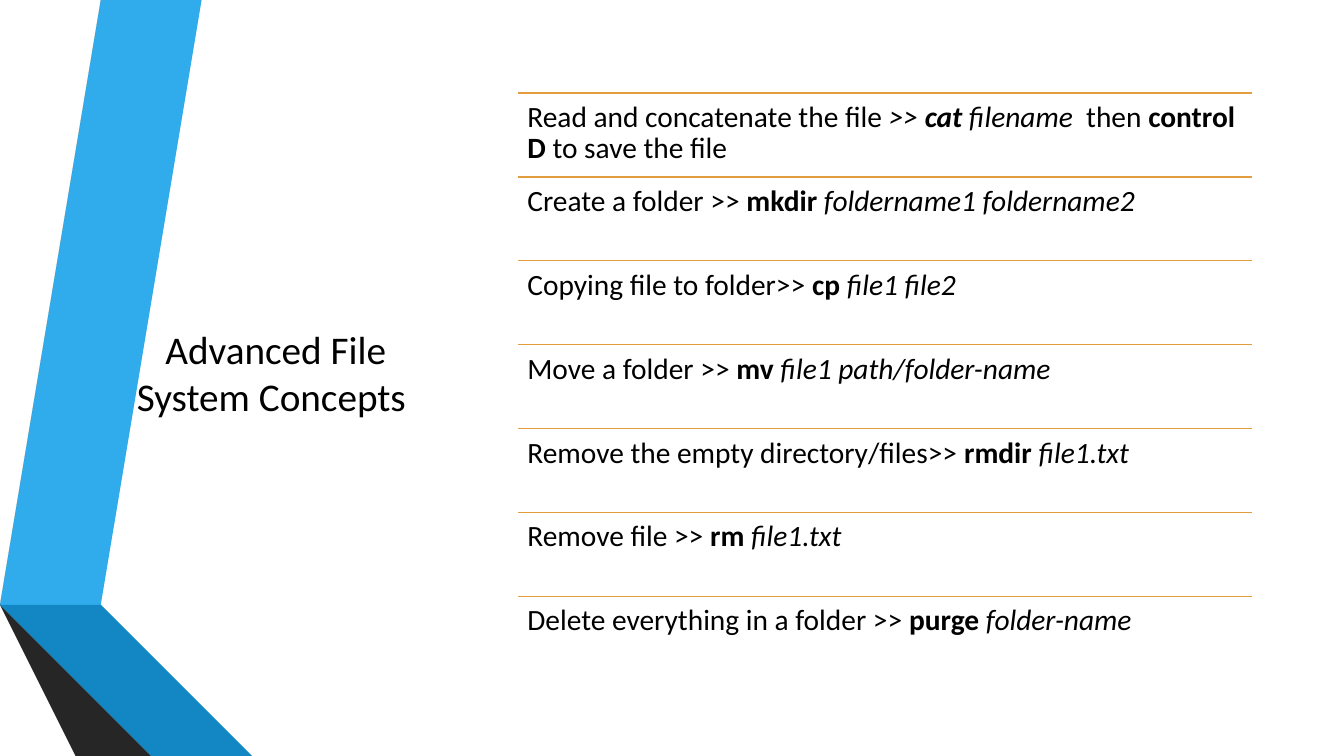
from pptx import Presentation
from pptx.dml.color import RGBColor
from pptx.enum.shapes import MSO_CONNECTOR
from pptx.enum.text import MSO_ANCHOR, MSO_AUTO_SIZE, PP_ALIGN
from pptx.oxml.ns import qn
from pptx.util import Inches, Pt
from lxml.etree import SubElement

BLACK = RGBColor(0x00, 0x00, 0x00)
RULE_ORANGE = RGBColor(0xE2, 0x9D, 0x3E)
BLUE = RGBColor(0x30, 0xAC, 0xEC)
MID_BLUE = RGBColor(0x12, 0x87, 0xC3)
DARK_BLUE = RGBColor(0x0C, 0x5A, 0x82)
GRAY = RGBColor(0x59, 0x59, 0x59)
DARK_GRAY = RGBColor(0x40, 0x40, 0x40)
DEEP_GRAY = RGBColor(0x26, 0x26, 0x26)
FONT = "Calibri"

# Content: each command row is a list of (text, style), b = bold, i = italic
TITLE = "Advanced File System Concepts "
COMMANDS = [
    [("Read and concatenate the file", ""), (" >> ", "i"), ("cat", "bi"),
     (" filename  ", "i"), ("then ", ""), ("control D", "b"),
     (" to save the file", "")],
    [("Create a folder >> ", ""), ("mkdir ", "b"),
     ("foldername1 foldername2", "i")],
    [("Copying file to folder>> ", ""), ("cp ", "b"), ("file1 file2", "i")],
    [("Move a folder >> ", ""), ("mv ", "b"), ("file1 path/folder-name", "i")],
    [("Remove the empty directory/files>> ", ""), ("rmdir ", "b"),
     ("file1.txt", "i")],
    [("Remove file >> ", ""), ("rm ", "b"), ("file1.txt", "i")],
    [("Delete everything in a folder >> ", ""), ("purge ", "b"),
     ("folder-name", "i")],
]

# Folded ribbons: colour and corner points in inches, back to front
RIBBONS = [
    (BLUE, [(0.5, 5.78), (0.77, 5.83), (1.73, 0), (1.45, 0)]),
    (GRAY, [(1.39, 0), (1.11, 0), (0.16, 5.73), (0.44, 5.77)]),
    (DEEP_GRAY, [(0.16, 5.73), (1.45, 7.5), (1.51, 7.5)]),
    (DARK_BLUE, [(0.5, 5.79), (2.08, 7.5), (2.14, 7.5)]),
    (MID_BLUE, [(0.5, 5.79), (2.14, 7.5), (2.83, 7.5), (0.77, 5.83),
                (0.5, 5.78)]),
    (DARK_GRAY, [(2.02, 7.5), (0.48, 5.83), (0.43, 5.78), (0.44, 5.77),
                 (0.16, 5.73), (1.51, 7.5)]),
]

# Command list geometry in inches
LIST_LEFT, LIST_TOP, LIST_WIDTH, LIST_HEIGHT = 5.14, 0.92, 7.28, 5.83
ROW_HEIGHT = LIST_HEIGHT / len(COMMANDS)
INSET = Inches(0.09)


def add_ribbon(slide, color, points):
    builder = slide.shapes.build_freeform(*points[0], scale=Inches(1))
    builder.add_line_segments(points[1:], close=True)
    shape = builder.convert_to_shape()
    shape.shadow.inherit = False
    shape.fill.solid()
    shape.fill.fore_color.rgb = color
    shape.line.fill.background()


def add_rule(slide, top):
    rule = slide.shapes.add_connector(
        MSO_CONNECTOR.STRAIGHT, Inches(LIST_LEFT), Inches(top),
        Inches(LIST_LEFT + LIST_WIDTH), Inches(top))
    rule.line.color.rgb = RULE_ORANGE
    rule.line.width = Pt(1.25)
    SubElement(rule._element.spPr, qn("a:effectLst"))


def add_command(slide, top, runs):
    box = slide.shapes.add_textbox(Inches(LIST_LEFT), Inches(top),
                                   Inches(LIST_WIDTH), Inches(ROW_HEIGHT))
    frame = box.text_frame
    frame.word_wrap = True
    frame.margin_left = frame.margin_right = INSET
    frame.margin_top = frame.margin_bottom = INSET
    paragraph = frame.paragraphs[0]
    paragraph.line_spacing = 0.9
    paragraph.font.name = FONT
    paragraph.font.size = Pt(21)
    paragraph.font.color.rgb = BLACK
    for text, style in runs:
        run = paragraph.add_run()
        run.text = text
        run.font.bold = "b" in style
        run.font.italic = "i" in style


def main():
    presentation = Presentation()
    presentation.slide_width = Inches(13.33)
    presentation.slide_height = Inches(7.5)
    slide = presentation.slides.add_slide(presentation.slide_layouts[5])

    # Ribbons on the left edge
    for color, points in RIBBONS:
        add_ribbon(slide, color, points)

    # Title
    title = slide.shapes.title
    title.left, title.top = Inches(1.09), Inches(2.87)
    title.width, title.height = Inches(3.29), Inches(1.64)
    title.text_frame.text = TITLE
    title.text_frame.word_wrap = True
    title.text_frame.auto_size = MSO_AUTO_SIZE.NONE
    title.text_frame.vertical_anchor = MSO_ANCHOR.MIDDLE
    paragraph = title.text_frame.paragraphs[0]
    paragraph.alignment = PP_ALIGN.CENTER
    paragraph.font.name = FONT
    paragraph.font.size = Pt(28)
    paragraph.font.color.rgb = BLACK

    # Command rows, each under its own rule
    for index, runs in enumerate(COMMANDS):
        top = LIST_TOP + index * ROW_HEIGHT
        add_rule(slide, top)
        add_command(slide, top, runs)

    presentation.save("out.pptx")


if __name__ == "__main__":
    main()
